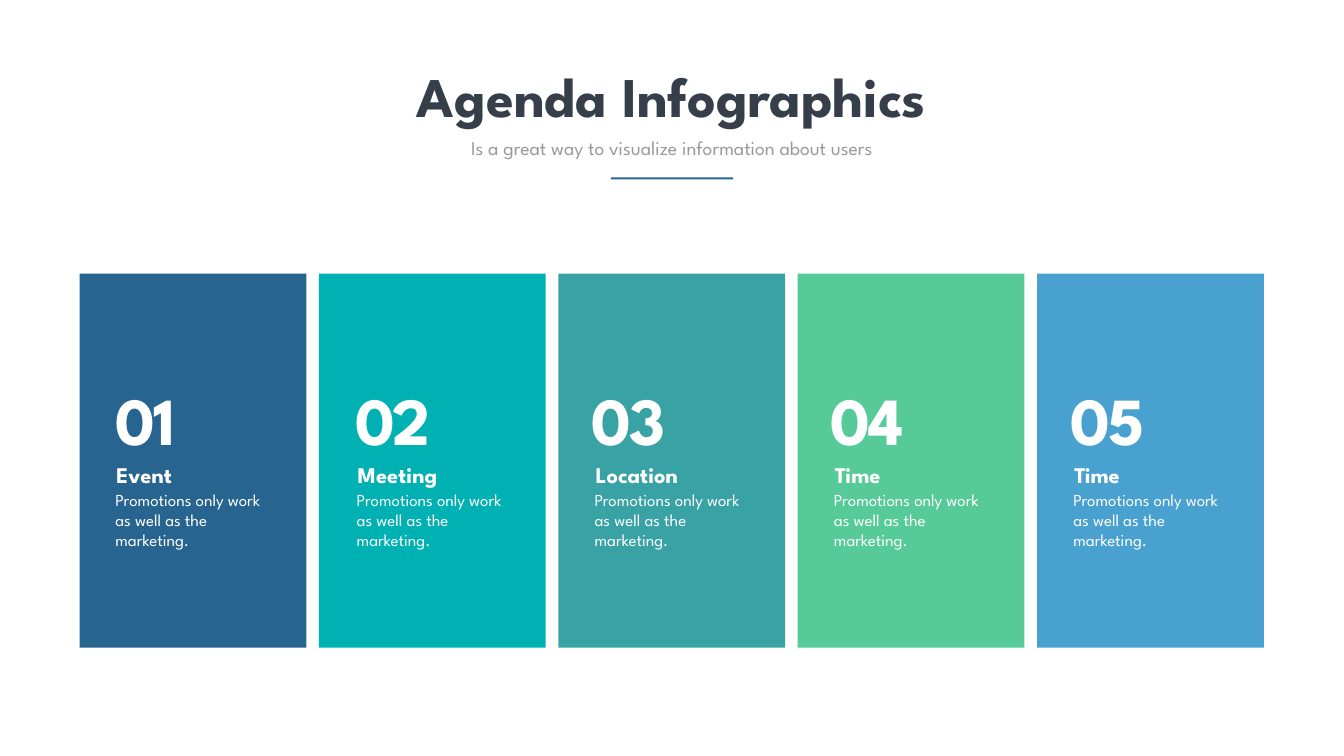
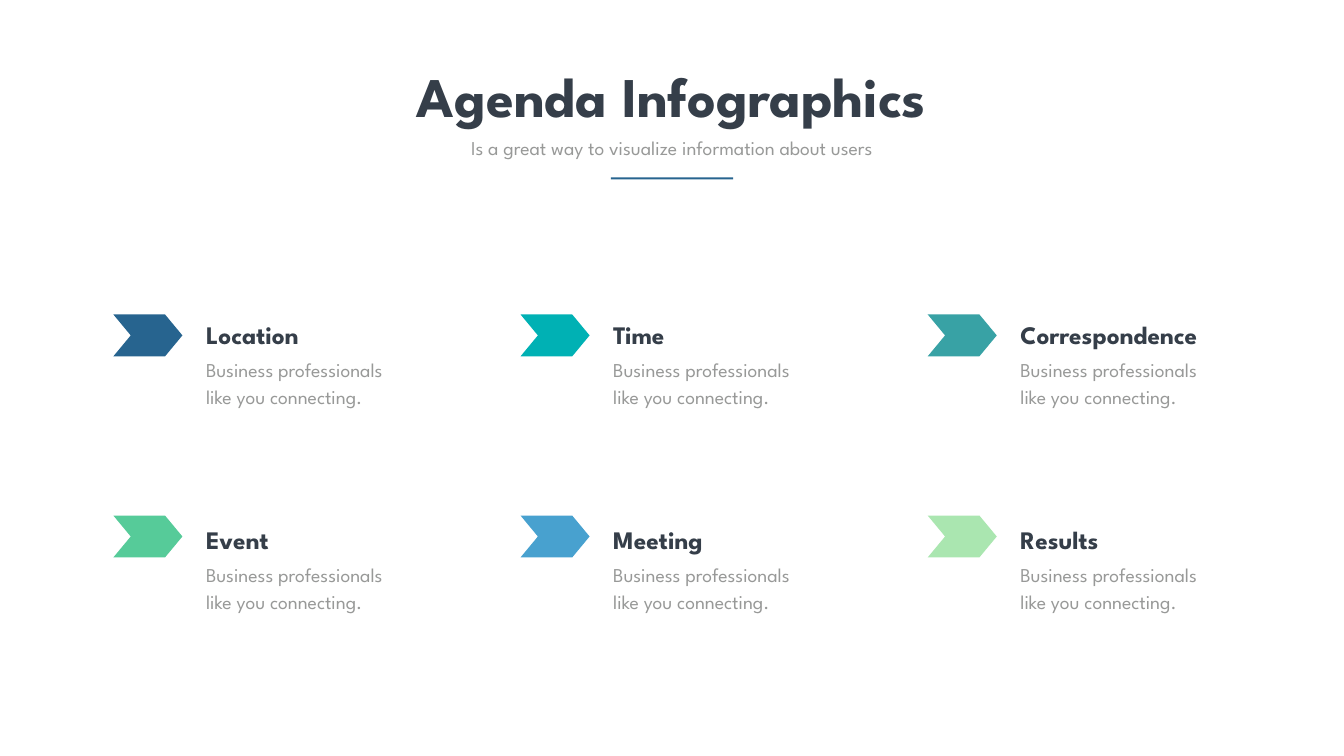
from pptx import Presentation
from pptx.dml.color import RGBColor
from pptx.enum.shapes import MSO_SHAPE
from pptx.enum.text import MSO_AUTO_SIZE, PP_ALIGN
from pptx.util import Inches, Pt

RECTANGLE = MSO_SHAPE.RECTANGLE
CHEVRON = MSO_SHAPE.CHEVRON
FIT_SHAPE = MSO_AUTO_SIZE.SHAPE_TO_FIT_TEXT
LEFT = PP_ALIGN.LEFT
CENTER = PP_ALIGN.CENTER

FONT = "League Spartan"
DARK, GRAY, WHITE = "353E49", "989998", "FFFFFF"
PALETTE = ["27648F", "00B1B4", "38A2A5", "56CB99", "48A1CF", "AAE6B0"]

CARD_LEFT, CARD_PITCH = 1.58, 4.75
CARDS = [
    ("01", "Event", 2.2, 2.21),
    ("02", "Meeting", 6.95, 7),
    ("03", "Location", 11.64, 11.72),
    ("04", "Time", 16.39, 16.47),
    ("05", "Time", 21.14, 21.22),
]
CARD_TEXT = "Promotions only work as well as the marketing."

COLUMN_LEFT, COLUMN_PITCH = 2.25, 8.08
AGENDA_ROWS = [
    (6.24, 6.29, ["Location", "Time", "Correspondence"]),
    (10.23, 10.35, ["Event", "Meeting", "Results"]),
]
AGENDA_TEXT = ["Business professionals", "like you connecting."]


def color(hex_string):
    """Turn a hex string into a colour."""
    return RGBColor.from_string(hex_string)


class Deck:
    """Hold the style and the current slide, and draw elements on it."""

    def __init__(self):
        """Start a presentation of the wanted size."""
        self.presentation = Presentation()
        self.presentation.slide_width = Inches(26.67)
        self.presentation.slide_height = Inches(15)
        self.slide = None

    def add_slide(self):
        """Add a blank slide with the shared heading."""
        self.slide = self.presentation.slides.add_slide(self.presentation.slide_layouts[6])
        self.text(7.47, 1.17, 11.72, 1.45, ["Agenda Infographics"], 80, DARK,
                  bold=True, alignment=CENTER, wrap=False)
        self.text(8.55, 2.65, 9.56, 0.57,
                  ["Is a great way to visualize information about users"], 28, GRAY,
                  alignment=CENTER)
        self.shape(RECTANGLE, 12.12, 3.52, 2.43, 0.04, PALETTE[0])

    def shape(self, kind, left, top, width, height, fill):
        """Add a filled shape without outline or shadow."""
        shape = self.slide.shapes.add_shape(
            kind, Inches(left), Inches(top), Inches(width), Inches(height))
        shape.shadow.inherit = False
        shape.fill.solid()
        shape.fill.fore_color.rgb = color(fill)
        shape.line.fill.background()
        return shape

    def text(self, left, top, width, height, lines, size, fill, bold=False,
             alignment=LEFT, wrap=True, line_spacing=None, tracking=None):
        """Add a text box with one paragraph per line."""
        box = self.slide.shapes.add_textbox(
            Inches(left), Inches(top), Inches(width), Inches(height))
        frame = box.text_frame
        frame.word_wrap = wrap
        frame.auto_size = FIT_SHAPE
        frame.text = "\n".join(lines)
        font_format = {"name": FONT, "size": Pt(size), "bold": bold}
        for paragraph in frame.paragraphs:
            paragraph.alignment = alignment
            if line_spacing:
                paragraph.line_spacing = Pt(line_spacing)
            font = paragraph.runs[0].font
            for name, value in font_format.items():
                setattr(font, name, value)
            font.color.rgb = color(fill)
            if tracking:
                paragraph.runs[0]._r.get_or_add_rPr().set("spc", str(tracking * 100))

    def card(self, index, number, heading, number_left, heading_left):
        """Add a numbered agenda card."""
        self.shape(RECTANGLE, CARD_LEFT + index * CARD_PITCH, 5.43, 4.5, 7.42, PALETTE[index])
        self.text(number_left, 7.46, 2.36, 1.54, [number], 96, WHITE, bold=True, tracking=-3)
        self.text(heading_left, 9.1, 3.17, 0.58, [heading], 32, WHITE, bold=True)
        self.text(heading_left - 0.02, 9.67, 3.45, 1.31, [CARD_TEXT], 24, WHITE)

    def agenda_item(self, left, arrow_top, heading_top, heading, fill):
        """Add a chevron with a heading and two lines of text."""
        chevron = self.shape(CHEVRON, left, arrow_top, 1.37, 0.83, fill)
        chevron.adjustments[0] = 0.415
        text_left = left + 1.74
        self.text(text_left, heading_top + 0.7, 4.89, 1.18, AGENDA_TEXT, 28, GRAY,
                  line_spacing=38.6)
        self.text(text_left, heading_top, 4.89, 0.71, [heading], 36, DARK, bold=True)


def main():
    """Build both slides and save them."""
    deck = Deck()
    deck.add_slide()
    for index, card in enumerate(CARDS):
        deck.card(index, *card)

    deck.add_slide()
    fills = iter(PALETTE)
    for arrow_top, heading_top, headings in AGENDA_ROWS:
        for column, heading in enumerate(headings):
            deck.agenda_item(COLUMN_LEFT + column * COLUMN_PITCH, arrow_top, heading_top,
                             heading, next(fills))
    deck.presentation.save("out.pptx")


if __name__ == "__main__":
    main()
